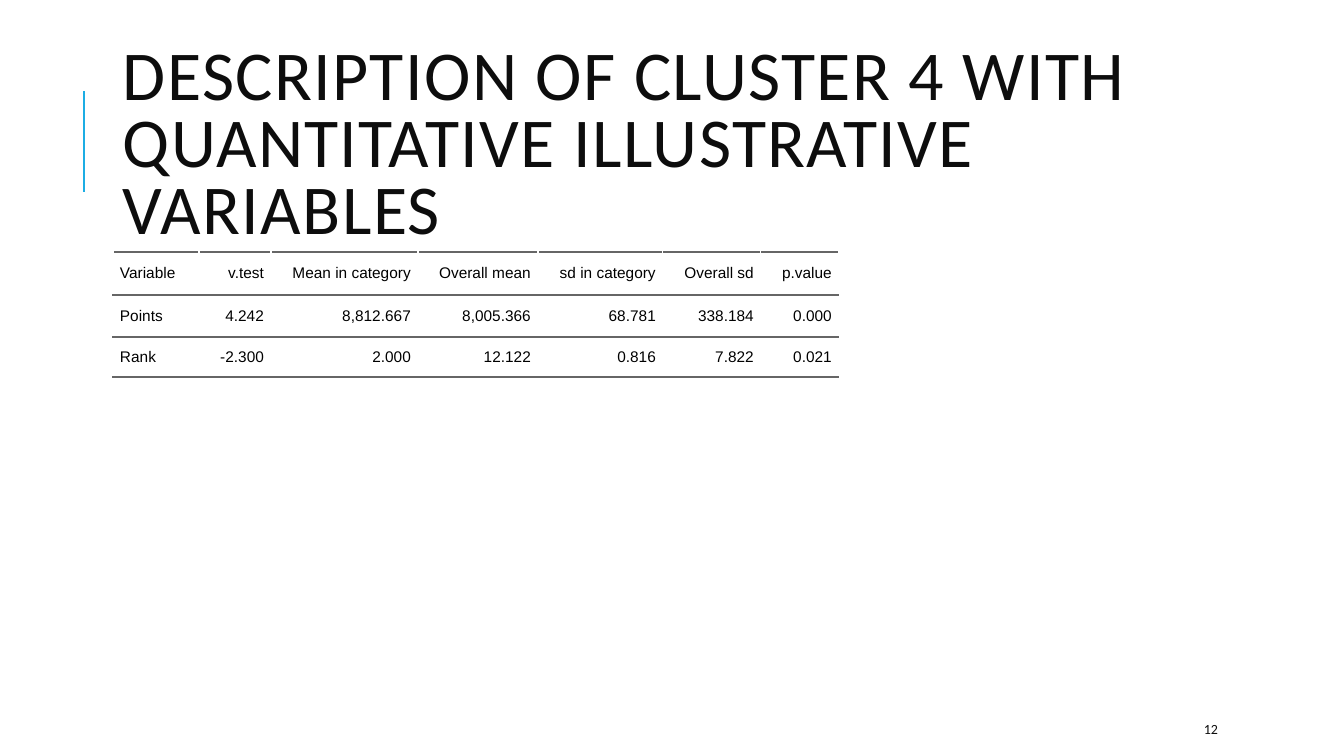
from dataclasses import dataclass

from lxml import etree
from pptx import Presentation
from pptx.dml.color import RGBColor
from pptx.enum.shapes import MSO_CONNECTOR
from pptx.enum.text import MSO_ANCHOR, PP_ALIGN
from pptx.oxml.ns import qn
from pptx.util import Emu, Pt

LEFT, RIGHT = PP_ALIGN.LEFT, PP_ALIGN.RIGHT
MIDDLE = MSO_ANCHOR.MIDDLE
STRAIGHT = MSO_CONNECTOR.STRAIGHT
SCALE = 914400 / 100.8


@dataclass(frozen=True)
class Theme:
    ink: str = "0D0D0D"
    black: str = "000000"
    accent: str = "1CADE4"
    rule: str = "666666"
    head: str = "Calibri"
    body: str = "Arial"
    title: int = 50
    cell: int = 11
    page: int = 10
    line: float = 1.5


THEME = Theme()
WIDTHS = (86, 72, 147, 120, 125, 98, 78)
HEIGHTS = (43, 42, 40)
ROWS = (
    ("Variable", "v.test", "Mean in category", "Overall mean",
     "sd in category", "Overall sd", "p.value"),
    ("Points", "4.242", "8,812.667", "8,005.366", "68.781", "338.184", "0.000"),
    ("Rank", "-2.300", "2.000", "12.122", "0.816", "7.822", "0.021"),
)
EDGES = (("lnT", "lnB"), ("lnT",), ("lnB",))


def px(count):
    return Emu(round(count * SCALE))


def write(frame, text, size, font, color, align=LEFT, lead=None, track=None):
    frame.word_wrap = True
    para = frame.paragraphs[0]
    para.alignment = align
    if lead:
        para.line_spacing = lead
    run = para.add_run()
    run.text = text
    run.font.size = Pt(size)
    run.font.name = font
    run.font.color.rgb = RGBColor.from_string(color)
    if track:
        run.font._element.set("spc", str(track * 100))


def add_text(slide, box, text, **style):
    frame = slide.shapes.add_textbox(*map(px, box)).text_frame
    frame.vertical_anchor = MIDDLE
    write(frame, text, **style)


def add_line(slide, x, top, end):
    line = slide.shapes.add_connector(STRAIGHT, px(x), px(end), px(x), px(top))
    line.line.color.rgb = RGBColor.from_string(THEME.accent)
    line.line.width = Pt(THEME.line)
    etree.SubElement(line._element.spPr, qn("a:effectLst"))


def add_rules(cell, edges):
    props = cell._tc.get_or_add_tcPr()
    for place, edge in enumerate(edges):
        rule = etree.Element(qn(f"a:{edge}"), w=str(Pt(THEME.line)))
        fill = etree.SubElement(rule, qn("a:solidFill"))
        etree.SubElement(fill, qn("a:srgbClr"), val=THEME.rule)
        props.insert(place, rule)


def add_grid(slide, left, top):
    size = map(px, (left, top, sum(WIDTHS), sum(HEIGHTS)))
    table = slide.shapes.add_table(len(ROWS), len(WIDTHS), *size).table
    table.first_row = table.horz_banding = False
    for col, width in zip(table.columns, WIDTHS):
        col.width = px(width)
    for row, height, words, edges in zip(table.rows, HEIGHTS, ROWS, EDGES):
        row.height = px(height)
        for spot, (cell, word) in enumerate(zip(row.cells, words)):
            cell.fill.background()
            cell.vertical_anchor = MIDDLE
            cell.margin_left = cell.margin_right = px(7)
            cell.margin_top = cell.margin_bottom = 0
            write(cell.text_frame, word, size=THEME.cell, font=THEME.body,
                  color=THEME.black, align=RIGHT if spot else LEFT)
            add_rules(cell, edges)


def main():
    deck = Presentation()
    deck.slide_width, deck.slide_height = px(1344), px(756)
    slide = deck.slides.add_slide(deck.slide_layouts[6])
    add_line(slide, 84, 91, 192)
    add_text(slide, (113, 65, 1072, 165),
             "DESCRIPTION OF CLUSTER 4 WITH QUANTITATIVE ILLUSTRATIVE VARIABLES",
             size=THEME.title, font=THEME.head, color=THEME.ink,
             lead=0.8, track=1)
    add_grid(slide, 113, 252)
    add_text(slide, (1194, 714, 107, 30), "12",
             size=THEME.page, font=THEME.head, color=THEME.ink)
    deck.save("out.pptx")


if __name__ == "__main__":
    main()
